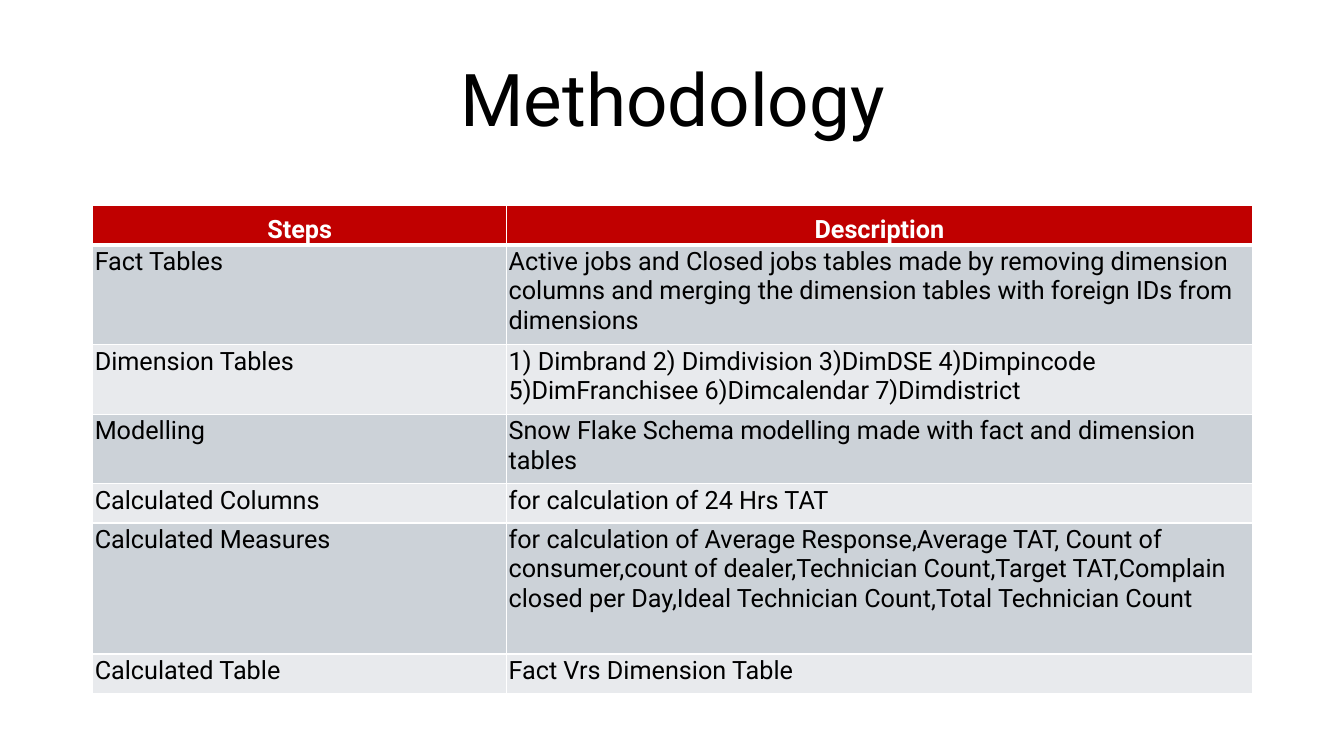
import dataclasses
import pptx
import pptx.dml.color
import pptx.enum.text
import pptx.oxml
import pptx.oxml.ns
import pptx.util

Inches, Pt = pptx.util.Inches, pptx.util.Pt
Align = pptx.enum.text.PP_ALIGN
Anchor = pptx.enum.text.MSO_ANCHOR


@dataclasses.dataclass(frozen=True)
class Theme:
    font: str = "Roboto"
    title: int = 52
    body: int = 18
    ink: str = "000000"
    paper: str = "FFFFFF"
    head: str = "C00000"
    bands: tuple = ("CCD2D8", "E8EAED")


THEME = Theme()
WIDTH, HEIGHT = 13.33, 7.5
LEFT, SPAN = 0.92, 11.5
SHARES = (0.357, 0.643)  # column widths
ROWS = [  # height, step, description
    (0.39, "Steps", "Description"),
    (0.99, "Fact Tables", "Active jobs and Closed jobs tables made by removing dimension "
     "columns and merging the dimension tables with foreign IDs from dimensions"),
    (0.69, "Dimension Tables", "1) Dimbrand 2) Dimdivision 3)DimDSE 4)Dimpincode "
     "5)DimFranchisee 6)Dimcalendar 7)Dimdistrict"),
    (0.69, "Modelling", "Snow Flake Schema modelling made with fact and dimension tables"),
    (0.39, "Calculated Columns", "for calculation of 24 Hrs TAT"),
    (1.3, "Calculated Measures", "for calculation of Average Response,Average TAT, "
     "Count of consumer,count of dealer,Technician Count,Target TAT,"
     "Complain closed per Day,Ideal Technician Count,Total Technician Count"),
    (0.39, "Calculated Table", "Fact Vrs Dimension Table"),
]


def paint(text):
    return pptx.dml.color.RGBColor.from_string(text)


def write(frame, text, size, color, align, bold=False):
    frame.text = text
    para = frame.paragraphs[0]
    para.alignment = align
    font = para.runs[0].font
    font.name, font.size, font.bold = THEME.font, Pt(size), bold
    font.color.rgb = paint(color)
    return para


def rule(cell, side, points):
    """Draw one edge of a cell."""
    space = pptx.oxml.ns.nsdecls("a")
    cell._tc.get_or_add_tcPr().append(pptx.oxml.parse_xml(
        f'<a:{side} {space} w="{Pt(points)}"><a:solidFill>'
        f'<a:srgbClr val="{THEME.paper}"/></a:solidFill></a:{side}>'))


def add_title(slide, box):
    title = slide.shapes.title
    title.left, title.top, title.width, title.height = map(Inches, box)
    frame = title.text_frame
    frame.vertical_anchor = Anchor.MIDDLE
    para = write(frame, "Methodology", THEME.title, THEME.ink, Align.CENTER)
    para.line_spacing = 0.9


def fill_cell(cell, text, row):
    head = row == 0
    # Edges, heavier around the header's foot
    for side in ("lnL", "lnR", "lnT", "lnB"):
        heavy = (head and side == "lnB") or (row == 1 and side == "lnT")
        rule(cell, side, 3 if heavy else 1)
    # Fill and text
    cell.fill.solid()
    cell.fill.fore_color.rgb = paint(THEME.head if head else THEME.bands[(row - 1) % 2])
    cell.margin_left = cell.margin_right = cell.margin_top = Inches(0.02)
    cell.margin_bottom = 0
    cell.vertical_anchor = Anchor.BOTTOM if head else Anchor.TOP
    write(cell.text_frame, text, THEME.body, THEME.paper if head else THEME.ink,
          Align.CENTER if head else Align.LEFT, head)


def add_steps(slide, box):
    table = slide.shapes.add_table(len(ROWS), len(SHARES), *map(Inches, box)).table
    for col, share in zip(table.columns, SHARES):
        col.width = Inches(box[2] * share)
    for row, (height, *texts) in enumerate(ROWS):
        table.rows[row].height = Inches(height)
        for col, text in enumerate(texts):
            fill_cell(table.cell(row, col), text, row)


def main():
    deck = pptx.Presentation()
    deck.slide_width, deck.slide_height = Inches(WIDTH), Inches(HEIGHT)
    slide = deck.slides.add_slide(deck.slide_layouts[5])
    slide.background.fill.solid()
    slide.background.fill.fore_color.rgb = paint(THEME.paper)
    add_title(slide, (LEFT, 0.2, SPAN, 1.65))
    add_steps(slide, (LEFT, 2.04, SPAN, sum(row[0] for row in ROWS)))
    deck.save("out.pptx")


if __name__ == "__main__":
    main()
